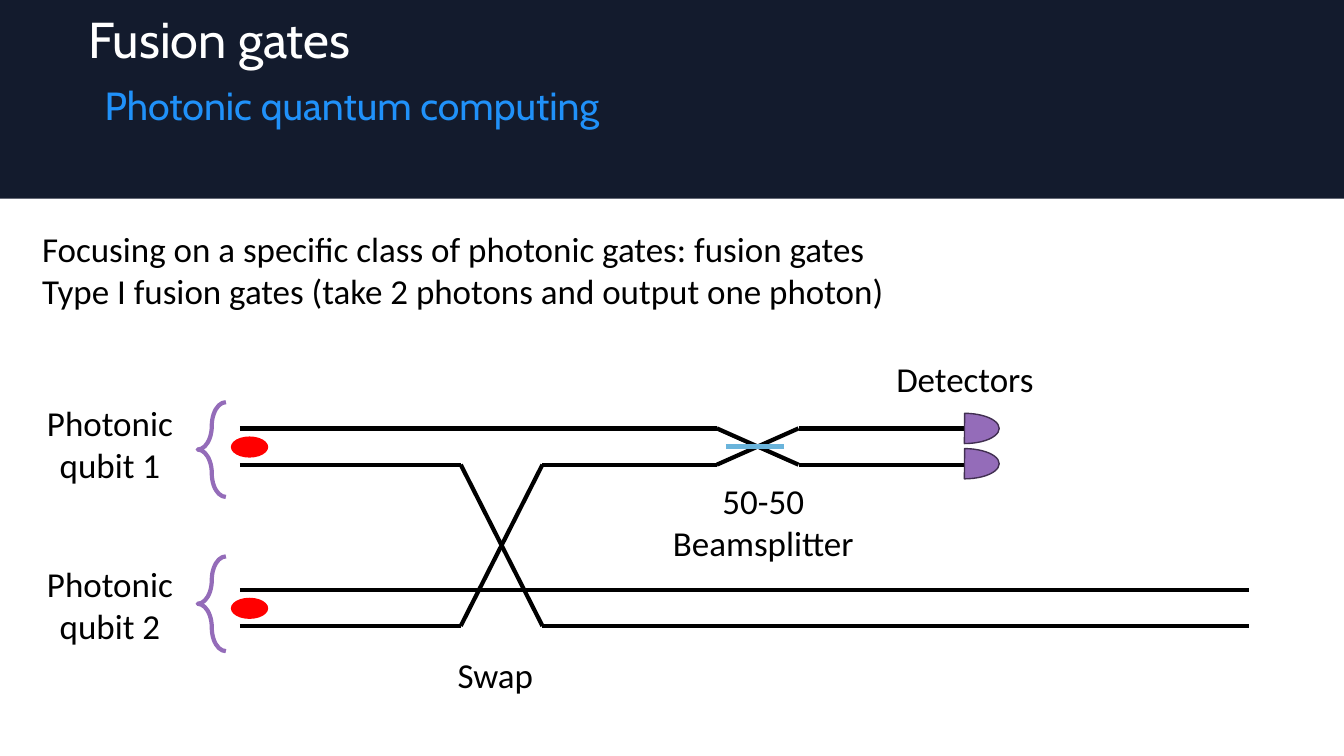
from lxml.etree import SubElement
from pptx import Presentation
from pptx.dml.color import RGBColor
from pptx.enum.shapes import MSO_CONNECTOR as LINE, MSO_SHAPE as SHAPE
from pptx.enum.text import PP_ALIGN as ALIGN
from pptx.oxml.ns import qn
from pptx.util import Pt

PX = 9144  # 100 px to the inch
SLIDE_W, SLIDE_H = 1333, 750

NAVY = RGBColor(0x13, 0x1B, 0x2D)
WHITE = RGBColor(0xFF, 0xFF, 0xFF)
BLACK = RGBColor(0, 0, 0)
BLUE = RGBColor(0x20, 0x91, 0xF9)
SKY = RGBColor(0x6A, 0xB4, 0xDB)
PURPLE = RGBColor(0x94, 0x6C, 0xB9)
PLUM = RGBColor(0x41, 0x2F, 0x51)
RED = RGBColor(0xFF, 0, 0)

HEADING = {"name": "Cabin", "size": Pt(36), "color": WHITE}
SUBHEADING = {"name": "Cabin", "size": Pt(28), "color": BLUE}
BODY = {"name": "Calibri", "size": Pt(25), "color": BLACK}


def add_text(slide, box, lines, style, align=ALIGN.LEFT, spacing=None):
    frame = slide.shapes.add_textbox(*(v * PX for v in box)).text_frame
    frame.word_wrap = True
    for i, line in enumerate(lines):
        paragraph = frame.paragraphs[0] if i == 0 else frame.add_paragraph()
        paragraph.text = line
        paragraph.alignment = align
        paragraph.line_spacing = spacing
        for key, value in style.items():
            if key == "color":
                paragraph.font.color.rgb = value
            else:
                setattr(paragraph.font, key, value)


def add_shape(slide, kind, box, fill=None, line=None, width=1, turn=0, adjust=()):
    shape = slide.shapes.add_shape(kind, *(v * PX for v in box))
    shape.shadow.inherit = False
    shape.rotation = turn
    for i, value in enumerate(adjust):
        shape.adjustments[i] = value
    if fill is None:
        shape.fill.background()
    else:
        shape.fill.solid()
        shape.fill.fore_color.rgb = fill
    if line is None:
        shape.line.fill.background()
    else:
        shape.line.color.rgb = line
        shape.line.width = Pt(width)


def add_line(slide, x1, y1, x2, y2, color=BLACK):
    wire = slide.shapes.add_connector(LINE.STRAIGHT, *(v * PX for v in (x1, y1, x2, y2)))
    wire.line.color.rgb = color
    wire.line.width = Pt(3)
    SubElement(wire._element.spPr, qn("a:effectLst"))


def add_header(slide, x, y, w, h):
    add_shape(slide, SHAPE.RECTANGLE, (x, y, w, h), NAVY)
    add_text(slide, (x + 78, y + 10, 1219, 53), ["Fusion gates"], HEADING, spacing=0.9)
    add_text(slide, (x + 94, y + 81, 1219, 51), ["Photonic quantum computing"],
             SUBHEADING, spacing=0.9)


def add_qubit(slide, x, y, number):
    """Label, brace and photon of one qubit, whose upper rail is at y."""
    add_text(slide, (x, y - 32, 162, 94), [f"Photonic qubit {number}"], BODY, ALIGN.CENTER)
    brace_y = y - 26 if number == 1 else y - 33
    add_shape(slide, SHAPE.RIGHT_BRACE, (x + 168, brace_y, 28, 94), line=PURPLE,
              width=3, turn=180, adjust=(1.719, 0.5))
    add_shape(slide, SHAPE.OVAL, (x + 201, y + 8, 37, 21), RED)


def add_circuit(slide, x, y):
    """Fusion circuit with its left edge at x and its first rail at y."""
    start, swap_in, swap_out, split_in, split_out, detect, end = (
        x + dx for dx in (210, 429, 510, 683, 764, 929, 1211))
    top_1, top_2 = y, y + 160
    low_1, low_2 = top_1 + 36, top_2 + 36

    wires = [
        (start, top_1, split_in, top_1),
        (start, low_1, swap_in, low_1),
        (start, top_2, end, top_2),
        (start, low_2, swap_in, low_2),
        (swap_in, low_1, swap_out, low_2),
        (swap_in, low_2, swap_out, low_1),
        (swap_out, low_1, split_in, low_1),
        (swap_out, low_2, end, low_2),
        (split_in, top_1, split_out, low_1),
        (split_in, low_1, split_out, top_1),
        (split_out, top_1, detect, top_1),
        (split_out, low_1, detect, low_1),
    ]
    for wire in wires:
        add_line(slide, *wire)
    add_line(slide, split_in + 9, y + 18, split_out - 14, y + 18, SKY)

    for rail in (low_1 - 1, top_1):
        add_shape(slide, SHAPE.CHORD, (detect - 35, rail - 15, 69, 30), PURPLE,
                  line=PLUM, turn=180, adjust=(54.523, 162))
    for number, rail in enumerate((top_1, top_2), 1):
        add_qubit(slide, x, rail, number)

    add_text(slide, (x + 416, y + 218, 107, 52), ["Swap"], BODY)
    add_text(slide, (x + 600, y + 46, 258, 94), ["50-50 Beamsplitter"], BODY, ALIGN.CENTER)
    add_text(slide, (x + 800, y - 75, 258, 52), ["Detectors"], BODY, ALIGN.CENTER)


def main():
    deck = Presentation()
    deck.slide_width, deck.slide_height = SLIDE_W * PX, SLIDE_H * PX
    slide = deck.slides.add_slide(deck.slide_layouts[6])
    add_header(slide, 0, 0, SLIDE_W, 197)
    add_text(slide, (32, 221, 1250, 94), [
        "Focusing on a specific class of photonic gates: fusion gates",
        "Type I fusion gates (take 2 photons and output one photon)",
    ], BODY)
    add_circuit(slide, 28, 425)
    deck.save("out.pptx")


if __name__ == "__main__":
    main()
